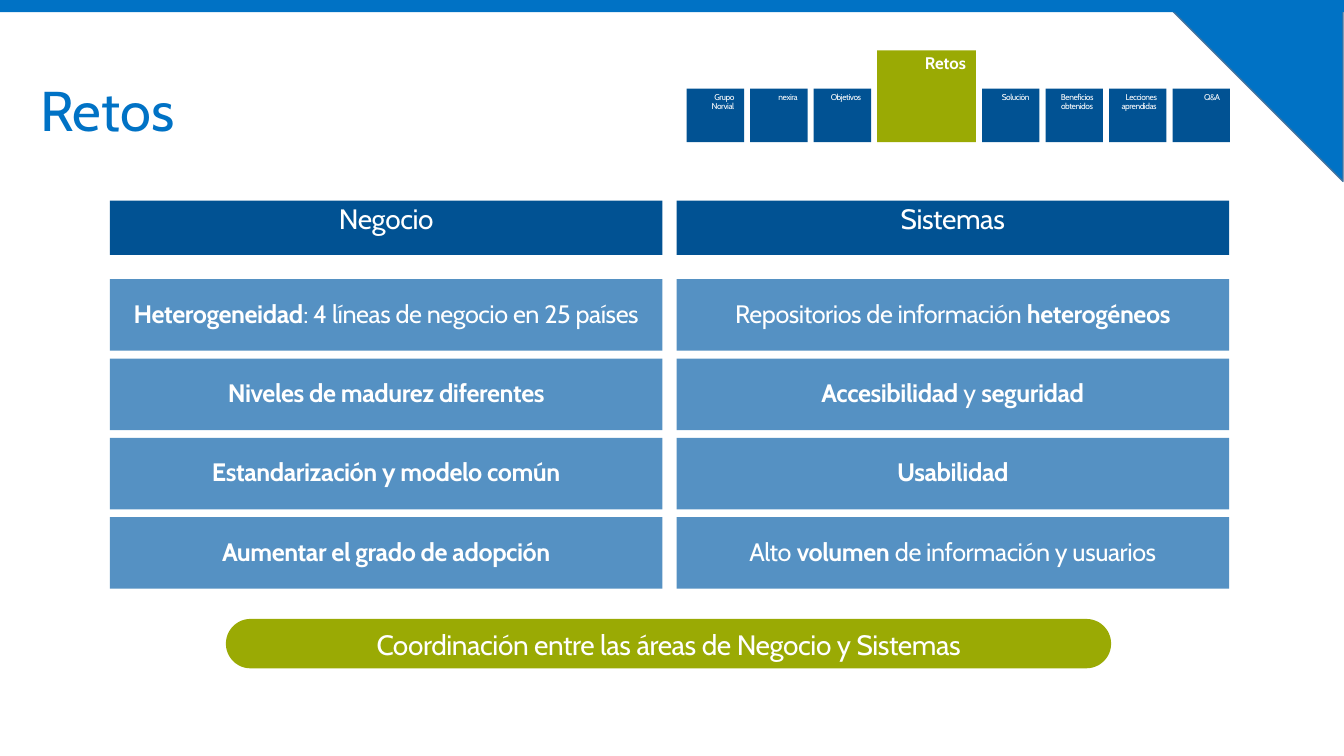
from pptx import Presentation
from pptx.dml.color import RGBColor
from pptx.enum.shapes import MSO_SHAPE
from pptx.enum.text import MSO_ANCHOR, MSO_AUTO_SIZE, PP_ALIGN
from pptx.util import Inches, Pt

RECT = MSO_SHAPE.RECTANGLE
PILL = MSO_SHAPE.ROUNDED_RECTANGLE
CORNER = MSO_SHAPE.RIGHT_TRIANGLE
TOP, MIDDLE = MSO_ANCHOR.TOP, MSO_ANCHOR.MIDDLE
LEFT, CENTER, RIGHT = PP_ALIGN.LEFT, PP_ALIGN.CENTER, PP_ALIGN.RIGHT
NO_AUTOFIT = MSO_AUTO_SIZE.NONE

COLORS = {
    "brand": "0072C5",
    "edge": "43739E",
    "dark": "015293",
    "light": "5591C3",
    "accent": "9AAA04",
    "white": "FFFFFF",
}


class SlideBuilder:
    font = "Cabin"
    line_spacing = 0.9

    def __init__(self, slide):
        self.slide = slide

    def color(self, name):
        return RGBColor.from_string(COLORS[name])

    def fill_text(self, frame, text, size, color, align, anchor, tracking=0):
        """Fill a text frame; parts between ** marks are bold."""
        frame.word_wrap = True
        frame.auto_size = NO_AUTOFIT
        frame.vertical_anchor = anchor
        paragraph = frame.paragraphs[0]
        paragraph.alignment = align
        paragraph.line_spacing = self.line_spacing
        for index, part in enumerate(text.split("**")):
            if not part:
                continue
            run = paragraph.add_run()
            run.text = part
            run.font.name = self.font
            run.font.size = Pt(size)
            run.font.bold = index % 2 == 1
            run.font.color.rgb = self.color(color)
            if tracking:
                run._r.get_or_add_rPr().set("spc", str(round(tracking * 100)))

    def title(self, text, left, top, width, height):
        title = self.slide.shapes.title
        title.left, title.top = Inches(left), Inches(top)
        title.width, title.height = Inches(width), Inches(height)
        self.fill_text(title.text_frame, text, 40, "brand", LEFT, MIDDLE)

    def shape(self, kind, left, top, width, height, fill, line=None):
        shape = self.slide.shapes.add_shape(
            kind, Inches(left), Inches(top), Inches(width), Inches(height))
        shape.shadow.inherit = False
        shape.fill.solid()
        shape.fill.fore_color.rgb = self.color(fill)
        if line:
            shape.line.color.rgb = self.color(line)
            shape.line.width = Pt(1)
        else:
            shape.line.fill.background()
        return shape

    def box(self, text, left, top, width, height, fill, size,
            align=CENTER, anchor=TOP, tracking=-0.3, kind=RECT):
        box = self.shape(kind, left, top, width, height, fill)
        self.fill_text(box.text_frame, text, size, "white", align, anchor,
                       tracking)
        return box


def main():
    prs = Presentation()
    prs.slide_width, prs.slide_height = Inches(13.33), Inches(7.5)
    builder = SlideBuilder(prs.slides.add_slide(prs.slide_layouts[5]))

    # Corner and top band
    corner = builder.shape(CORNER, 11.52, 0, 1.8, 1.8, "brand", "edge")
    corner.rotation = 180
    builder.shape(RECT, 0, 0, 13.33, 0.12, "brand")

    builder.title("Retos", 0.3, 0.4, 12.12, 1.45)

    # Section tabs, aligned at the bottom, with the current one enlarged
    sections = ["Grupo Norvial", "nexira", "Objetivos", "Retos", "Solución",
                "Beneficios obtenidos", "Lecciones aprendidas", "Q&A"]
    tab_left, tab_bottom, tab_gap = 6.81, 1.41, 0.06
    for section in sections:
        if section == "Retos":
            width, height = 0.98, 0.91
            builder.box(f"**{section}**", tab_left, tab_bottom - height, width,
                        height, "accent", 12, RIGHT, tracking=0)
        else:
            width, height = 0.57, 0.53
            builder.box(section, tab_left, tab_bottom - height, width, height,
                        "dark", 6, RIGHT)
        tab_left += width + tab_gap

    # Two columns of challenges
    challenges = {
        "Negocio": ["**Heterogeneidad**: 4 líneas de negocio en 25 países",
                    "**Niveles de madurez diferentes**",
                    "**Estandarización y modelo común**",
                    "**Aumentar el grado de adopción**"],
        "Sistemas": ["Repositorios de información **heterogéneos**",
                     "**Accesibilidad** y **seguridad**",
                     "**Usabilidad**",
                     "Alto **volumen** de información y usuarios"],
    }
    column_width, column_pitch = 5.48, 5.62
    first_row, last_row = 2.77, 5.13
    for column, (area, items) in enumerate(challenges.items()):
        left = 1.09 + column * column_pitch
        builder.box(area, left, 1.99, column_width, 0.54, "dark", 20)
        row_pitch = (last_row - first_row) / (len(items) - 1)
        for row, item in enumerate(items):
            builder.box(item, left, first_row + row * row_pitch, column_width,
                        0.71, "light", 18, anchor=MIDDLE)

    # Closing message
    closing = builder.box("Coordinación entre las áreas de Negocio y Sistemas",
                          2.24, 6.14, 8.78, 0.49, "accent", 20, kind=PILL)
    closing.adjustments[0] = 0.5

    prs.save("out.pptx")


if __name__ == "__main__":
    main()
